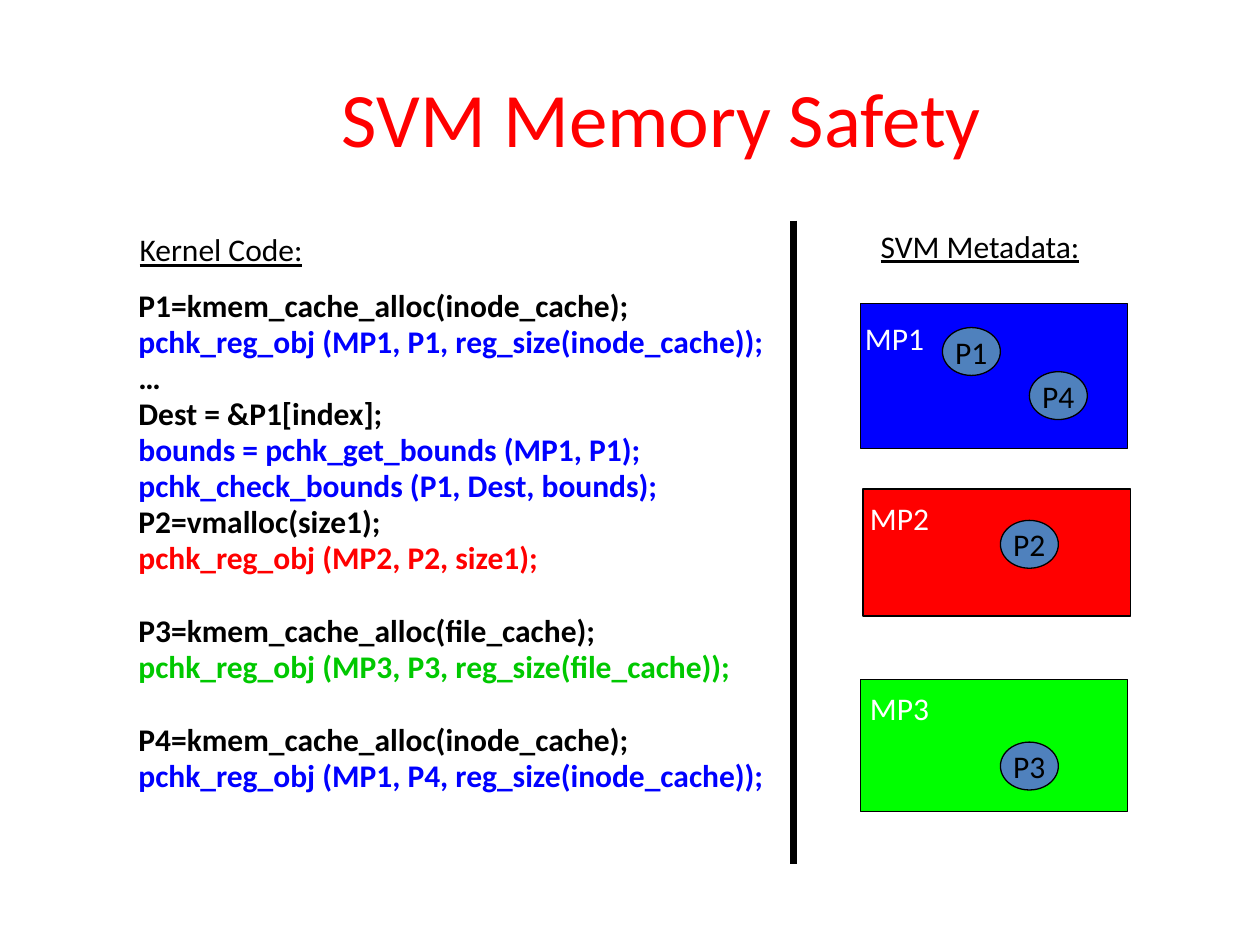
from lxml import etree
from pptx import Presentation
from pptx.dml.color import RGBColor
from pptx.enum.shapes import MSO_CONNECTOR, MSO_SHAPE
from pptx.enum.text import MSO_ANCHOR, MSO_AUTO_SIZE, PP_ALIGN
from pptx.oxml.ns import qn
from pptx.util import Inches, Pt

RECTANGLE, OVAL = MSO_SHAPE.RECTANGLE, MSO_SHAPE.OVAL
STRAIGHT = MSO_CONNECTOR.STRAIGHT
MIDDLE, TOP = MSO_ANCHOR.MIDDLE, MSO_ANCHOR.TOP
CENTER, LEFT = PP_ALIGN.CENTER, PP_ALIGN.LEFT
GROW = MSO_AUTO_SIZE.SHAPE_TO_FIT_TEXT

THEME = {
    "font": "Calibri", "title": 44, "body": 18,
    "black": "000000", "white": "FFFFFF", "red": "FF0000", "blue": "0000FF",
    "green": "00FF00", "code green": "00C800", "object": "4F81BD",
    "outline": 0.75, "divider": 4,
    "line spacing": 0.8, "line gap": 3.3, "block gap": 24.2,
}

TITLE = "SVM Memory Safety"
HEADINGS = [("SVM Metadata:", 6.89, 1.75, 1.92), ("Kernel Code:", 1.01, 1.78, 1.66)]
CODE_BLOCKS = [
    [
        ("P1=kmem_cache_alloc(inode_cache);", "black"),
        ("pchk_reg_obj (MP1, P1, reg_size(inode_cache));", "blue"),
        ("…", "black"),
        ("Dest = &P1[index];", "black"),
        ("bounds = pchk_get_bounds (MP1, P1);", "blue"),
        ("pchk_check_bounds (P1, Dest, bounds);", "blue"),
        ("P2=vmalloc(size1);", "black"),
        ("pchk_reg_obj (MP2, P2, size1);", "red"),
    ],
    [
        ("P3=kmem_cache_alloc(file_cache);", "black"),
        ("pchk_reg_obj (MP3, P3, reg_size(file_cache));", "code green"),
    ],
    [
        ("P4=kmem_cache_alloc(inode_cache);", "black"),
        ("pchk_reg_obj (MP1, P4, reg_size(inode_cache));", "blue"),
    ],
]
POOLS = [
    {"name": "MP1", "color": "blue", "at": (6.83, 2.41), "height": 1.15,
     "label": (6.85, 2.49), "objects": [("P1", 7.48, 2.6), ("P4", 8.17, 2.95)]},
    {"name": "MP2", "color": "red", "at": (6.85, 3.88), "height": 1.01,
     "label": (6.89, 3.92), "objects": [("P2", 7.94, 4.13)]},
    {"name": "MP3", "color": "green", "at": (6.83, 5.39), "height": 1.05,
     "label": (6.89, 5.43), "objects": [("P3", 7.94, 5.89)]},
]
POOL_WIDTH = 2.12
LABEL_SIZE = (0.5, 0.38)
OBJECT_SIZE = (0.46, 0.38)


def color(name):
    return RGBColor.from_string(THEME[name])


def style(paragraph, ink, size="body", align=LEFT):
    paragraph.alignment = align
    paragraph.font.name = THEME["font"]
    paragraph.font.size = Pt(THEME[size])
    paragraph.font.color.rgb = color(ink)


def add_block(slide, preset, at, size, fill, text="", ink="black", outlined=True):
    block = slide.shapes.add_shape(preset, *map(Inches, at + size))
    block.shadow.inherit = False
    block.fill.solid()
    block.fill.fore_color.rgb = color(fill)
    if outlined:
        block.line.color.rgb = color("black")
        block.line.width = Pt(THEME["outline"])
    else:
        block.line.fill.background()
    if text:
        frame = block.text_frame
        frame.text = text
        frame.word_wrap = False
        frame.vertical_anchor = MIDDLE
        style(frame.paragraphs[0], ink, align=CENTER)


def add_title(slide):
    title = slide.shapes.title
    title.left, title.top, title.width, title.height = map(Inches, (1, 0.3, 8.5, 1.25))
    title.text_frame.text = TITLE
    title.text_frame.vertical_anchor = MIDDLE
    style(title.text_frame.paragraphs[0], "red", "title", CENTER)


def add_heading(slide, text, left, top, width):
    frame = slide.shapes.add_textbox(*map(Inches, (left, top, width, 0.4))).text_frame
    frame.text = text
    frame.word_wrap = False
    frame.auto_size = GROW
    style(frame.paragraphs[0], "black")
    frame.paragraphs[0].font.underline = True


def add_code(slide):
    frame = slide.shapes.add_textbox(*map(Inches, (1, 2.28, 5.22, 4.45))).text_frame
    frame.word_wrap = True
    frame.vertical_anchor = TOP
    for block_index, block in enumerate(CODE_BLOCKS):
        for line_index, (code, ink) in enumerate(block):
            if block_index == line_index == 0:
                line = frame.paragraphs[0]
            else:
                line = frame.add_paragraph()
                line.space_before = Pt(THEME["line gap" if line_index else "block gap"])
            line.text = code
            line.line_spacing = THEME["line spacing"]
            style(line, ink)
            line.font.bold = True


def add_divider(slide):
    divider = slide.shapes.add_connector(STRAIGHT, *map(Inches, (6.3, 1.75, 6.3, 6.86)))
    divider.line.color.rgb = color("black")
    divider.line.width = Pt(THEME["divider"])
    etree.SubElement(divider._element.spPr, qn("a:effectLst"))


def add_pool(slide, pool):
    add_block(slide, RECTANGLE, pool["at"], (POOL_WIDTH, pool["height"]), pool["color"])
    add_block(slide, RECTANGLE, pool["label"], LABEL_SIZE, pool["color"],
              pool["name"], "white", outlined=False)
    for name, left, top in pool["objects"]:
        add_block(slide, OVAL, (left, top), OBJECT_SIZE, "object", name)


def main():
    deck = Presentation()
    deck.slide_width, deck.slide_height = Inches(10), Inches(7.5)
    slide = deck.slides.add_slide(deck.slide_layouts.get_by_name("Title Only"))
    add_title(slide)
    add_code(slide)
    for heading in HEADINGS:
        add_heading(slide, *heading)
    add_divider(slide)
    for pool in POOLS:
        add_pool(slide, pool)
    deck.save("out.pptx")


if __name__ == "__main__":
    main()
